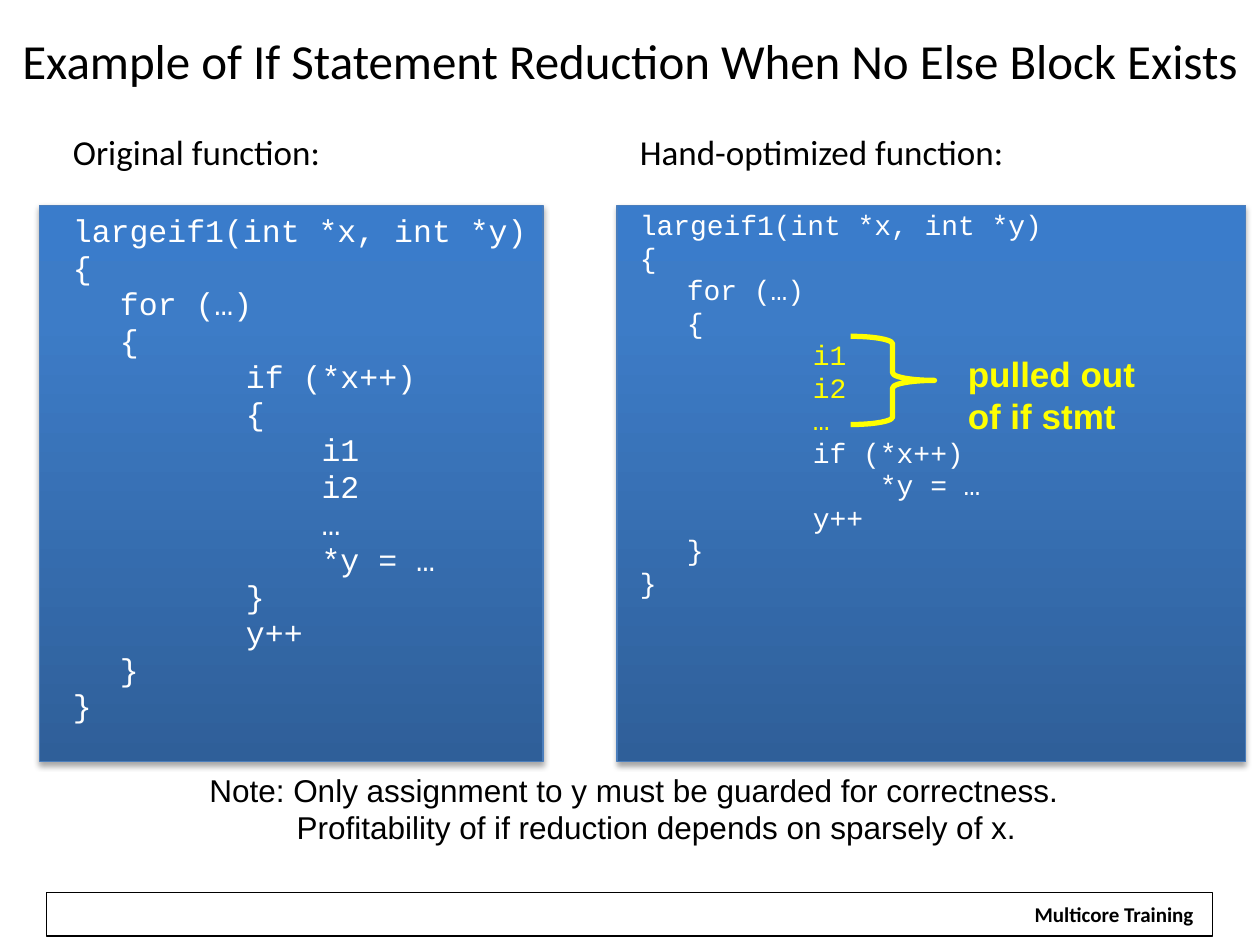
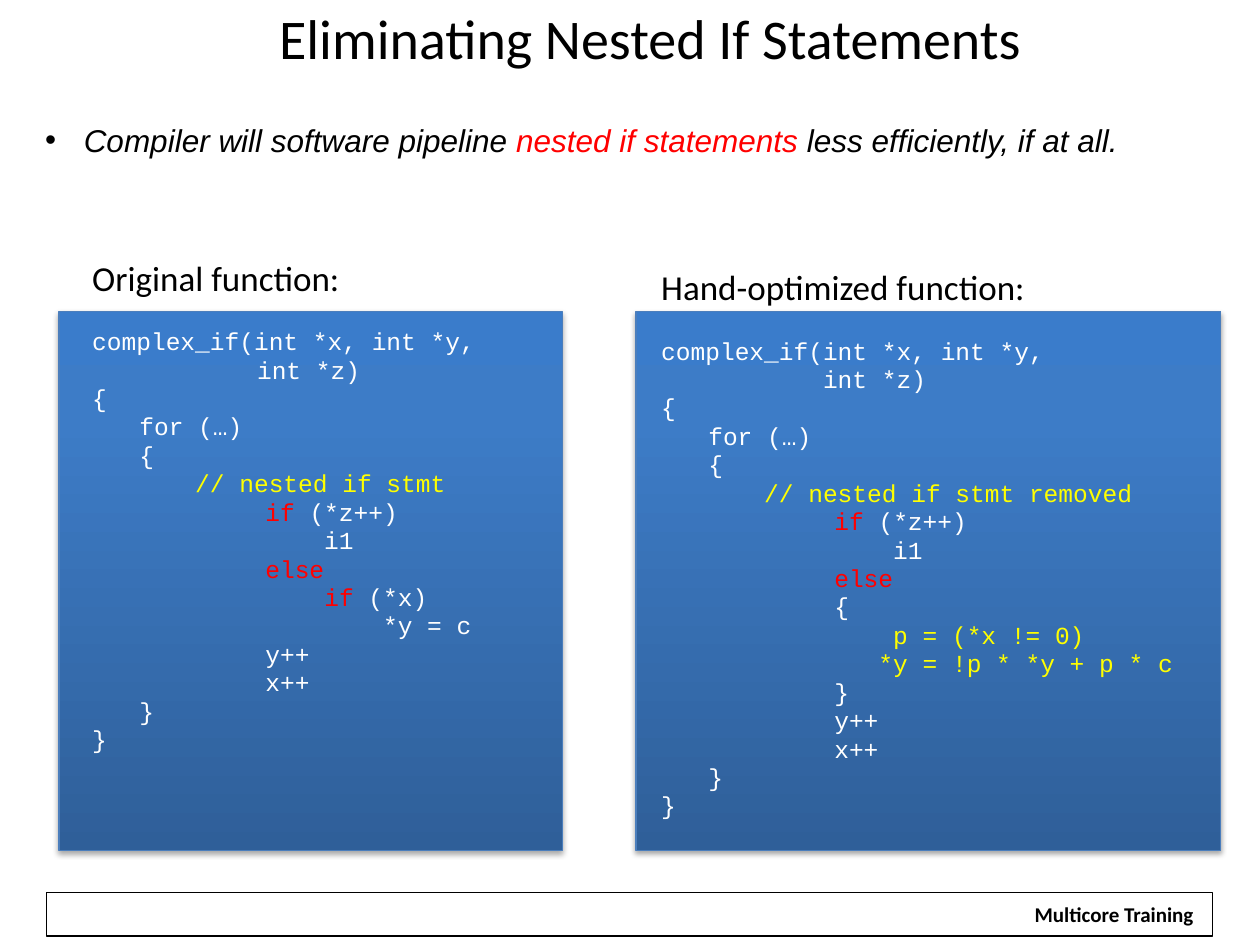
from copy import deepcopy

from lxml import etree
from pptx import Presentation
from pptx.dml.color import RGBColor
from pptx.enum import shapes, text
from pptx.oxml import ns
from pptx.util import Cm, Pt

COLORS = {
    "black": "000000", "white": "FFFFFF", "yellow": "FFFF00", "red": "FF0000",
    "panel_bottom": "2F5F99", "panel_middle": "3D7CC7", "panel_top": "3A7CCB",
    "panel_edge": "4B7EBC",
}
HANG = 0.95  # hanging indent of the code lines, cm
TAB = 2.54  # distance of the tab stops, cm
TITLE_ONLY = 5

LARGE_IF = """largeif1(int *x, int *y)
{
\tfor (…)
\t{
\t\tif (*x++)
\t\t{
\t\t    i1
\t\t    i2
\t\t    …
\t\t    *y = …
\t\t}
\t\ty++
\t}
}""".split("\n")

LARGE_IF_OPTIMIZED = [
    "largeif1(int *x, int *y)",
    "{",
    "\tfor (…)",
    "\t{",
    [("\t\ti1", "yellow")],
    [("\t\ti2", "yellow")],
    [("\t\t…", "yellow")],
    "\t\tif (*x++)",
    "\t\t    *y = …",
    "\t\ty++",
    "\t}",
    "}",
]

NESTED_IF = [
    "complex_if(int *x, int *y,",
    "\t        int *z)",
    "{",
    "\tfor (…)",
    "\t{",
    [("       // nested if stmt", "yellow")],
    ["\t\t", ("if", "red"), " (*z++)"],
    "\t\t    i1",
    [("\t\telse", "red")],
    ["\t\t    ", ("if", "red"), " (*x)"],
    "\t\t        *y = c",
    "\t\ty++",
    "\t\tx++",
    "\t}",
    "}",
]

NESTED_IF_REMOVED = [
    "complex_if(int *x, int *y,",
    "           int *z)",
    "{",
    "\tfor (…)",
    "\t{",
    [("       // nested if stmt removed", "yellow")],
    ["\t\t", ("if ", "red"), "(*z++)"],
    "\t\t    i1",
    [("\t\telse", "red")],
    "\t\t{",
    [("\t\t    p = (*x != 0)", "yellow")],
    [("\t\t   *y = !p * *y + p * c", "yellow")],
    "\t\t}",
    "\t\ty++",
    "\t\tx++",
    "\t}",
    "}",
]


def rgb(name):
    return RGBColor.from_string(COLORS[name])


def cm_box(box):
    return [Cm(length) for length in box]


def write(frame, content, size=18, font="Arial", color="black", bold=False,
          italic=False, align=None, before=0, line=None, margin=0, indent=0,
          bullet=None):
    """Add a paragraph; content is a string or a list of strings and (string, colour)."""
    first = len(frame.paragraphs) == 1 and not frame.paragraphs[0].runs
    paragraph = frame.paragraphs[0] if first else frame.add_paragraph()
    properties = paragraph._p.get_or_add_pPr()
    if margin or indent:
        properties.set("marL", str(Cm(margin)))
        properties.set("indent", str(Cm(indent)))
        properties.set("defTabSz", str(Cm(TAB)))
    if bullet:
        etree.SubElement(properties, ns.qn("a:buFont")).set("typeface", font)
        etree.SubElement(properties, ns.qn("a:buChar")).set("char", bullet)
    if align is not None:
        paragraph.alignment = align
    if line:
        paragraph.line_spacing = line
    if before:
        paragraph.space_before = Pt(before)
    for piece in [content] if isinstance(content, str) else content:
        words, tint = (piece, color) if isinstance(piece, str) else piece
        run = paragraph.add_run()
        run.text = words
        run.font.name = font
        run.font.size = Pt(size)
        run.font.bold = bold
        run.font.italic = italic
        run.font.color.rgb = rgb(tint)


def add_frame(slide, box, wrap=True):
    frame = slide.shapes.add_textbox(*cm_box(box)).text_frame
    frame.word_wrap = wrap
    return frame


def add_outline(slide, kind, box, color, width):
    outline = slide.shapes.add_shape(kind, *cm_box(box))
    outline.shadow.inherit = False
    outline.fill.background()
    outline.line.color.rgb = rgb(color)
    outline.line.width = Pt(width)
    return outline


def add_footer(slide, layout):
    """Draw the footer band and hand it to the layout, so all slides share it."""
    band = add_outline(slide, shapes.MSO_SHAPE.RECTANGLE,
                       (0.94, 17.99, 23.51, 0.88), "black", 0.75)
    label = slide.shapes.add_textbox(*cm_box((20.58, 18.05, 3.76, 0.76)))
    label.fill.solid()
    label.fill.fore_color.rgb = rgb("white")
    label.text_frame.word_wrap = False
    write(label.text_frame, "Multicore Training", size=12, font="Calibri",
          bold=True, align=text.PP_ALIGN.CENTER)
    for part in (band, label):
        layout.shapes._spTree.append(part._element)


def set_title(slide, words, box, size):
    title = slide.shapes.title
    title.left, title.top, title.width, title.height = cm_box(box)
    frame = title.text_frame
    frame.auto_size = text.MSO_AUTO_SIZE.NONE
    frame.vertical_anchor = text.MSO_ANCHOR.MIDDLE
    write(frame, words, size=size, font="Calibri", align=text.PP_ALIGN.CENTER)


def add_panel(slide, box):
    """Blue gradient background for code, with a soft shadow below."""
    panel = add_outline(slide, shapes.MSO_SHAPE.RECTANGLE, box, "panel_edge", 0.75)
    panel.fill.gradient()
    panel.fill.gradient_angle = 90
    properties = panel._element.spPr
    first_stop = properties.find(".//" + ns.qn("a:gs"))
    first_stop.addnext(deepcopy(first_stop))
    stops = [(0, "panel_bottom"), (0.8, "panel_middle"), (1, "panel_top")]
    for stop, (position, color) in zip(panel.fill.gradient_stops, stops):
        stop.position = position
        stop.color.rgb = rgb(color)
    shadow = etree.SubElement(
        properties.find(ns.qn("a:effectLst")), ns.qn("a:outerShdw"),
        blurRad=str(Pt(3.1)), dist=str(Pt(1.8)), dir="5400000", rotWithShape="0")
    tint = etree.SubElement(shadow, ns.qn("a:srgbClr"), val=COLORS["black"])
    etree.SubElement(tint, ns.qn("a:alpha"), val="35000")


def add_listing(slide, box, heading, lines, size, heading_gap):
    """Heading and, heading_gap points below it, lines of code."""
    frame = add_frame(slide, box)
    hanging = dict(line=0.8, margin=HANG, indent=-HANG)
    write(frame, heading, size=20, font="Calibri", **hanging)
    for number, code in enumerate(lines):
        write(frame, code, size=size, font="Courier New", color="white",
              before=0.2 * size if number else heading_gap, **hanging)


def build_no_else_slide(slide):
    set_title(slide, "Example of If Statement Reduction When No Else Block Exists",
              (0, 0, 25.4, 2.41), 28)
    add_panel(slide, (12.44, 4.14, 12.67, 11.22))
    add_panel(slide, (0.8, 4.14, 10.15, 11.22))
    add_listing(slide, (1.22, 2.67, 11.23, 12.57), "Original function:",
                LARGE_IF, 18, heading_gap=26.4)
    add_listing(slide, (12.65, 2.67, 11.23, 12.57), "Hand-optimized function:",
                LARGE_IF_OPTIMIZED, 16, heading_gap=24.1)

    note = add_frame(slide, (3.97, 15.41, 17.63, 1.78), wrap=False)
    write(note, "Note: Only assignment to y must be guarded for correctness.")
    write(note, "Profitability of if reduction depends on sparsely of x.", margin=1.76)

    brace = add_outline(slide, shapes.MSO_SHAPE.RIGHT_BRACE,
                        (17.15, 6.78, 1.69, 1.78), "yellow", 3)
    brace.adjustments[0] = 0.09
    remark = add_frame(slide, (19.26, 6.99, 4.06, 1.96), wrap=False)
    for words in ("pulled out", "of if stmt"):
        write(remark, words, size=20, color="yellow", bold=True)


def build_nested_slide(slide):
    set_title(slide, "Eliminating Nested If Statements", (0.83, 0, 24.56, 1.5), 32)
    add_panel(slide, (12.82, 6.28, 11.79, 10.87))
    add_panel(slide, (1.19, 6.28, 10.15, 10.87))
    add_listing(slide, (1.61, 5.21, 11.23, 12.57), "Original function:",
                NESTED_IF, 14, heading_gap=19.2)
    add_listing(slide, (13.08, 5.4, 12.32, 13.03), "Hand-optimized function:",
                NESTED_IF_REMOVED, 14, heading_gap=19.2)

    claim = add_frame(slide, (0.66, 2.31, 23.47, 1.02))
    write(claim, ["Compiler will software pipeline ", ("nested if statements ", "red"),
                  "less efficiently, if at all."],
          italic=True, bullet="•", margin=0.78, indent=-0.78)


def main():
    deck = Presentation()
    deck.slide_width, deck.slide_height = Cm(25.4), Cm(19.05)
    layout = deck.slide_layouts[TITLE_ONLY]
    no_else, nested = (deck.slides.add_slide(layout) for _ in range(2))
    add_footer(no_else, layout)
    build_no_else_slide(no_else)
    build_nested_slide(nested)
    deck.save("out.pptx")


if __name__ == "__main__":
    main()
